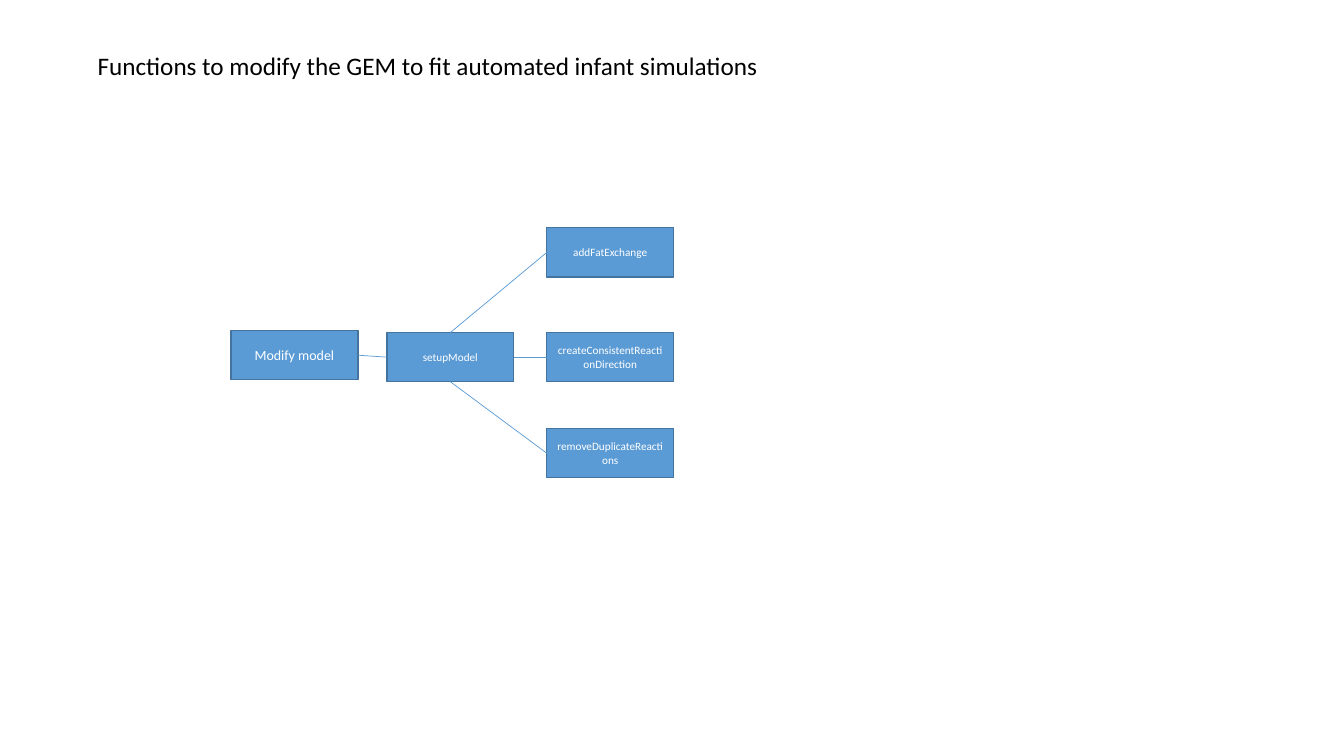
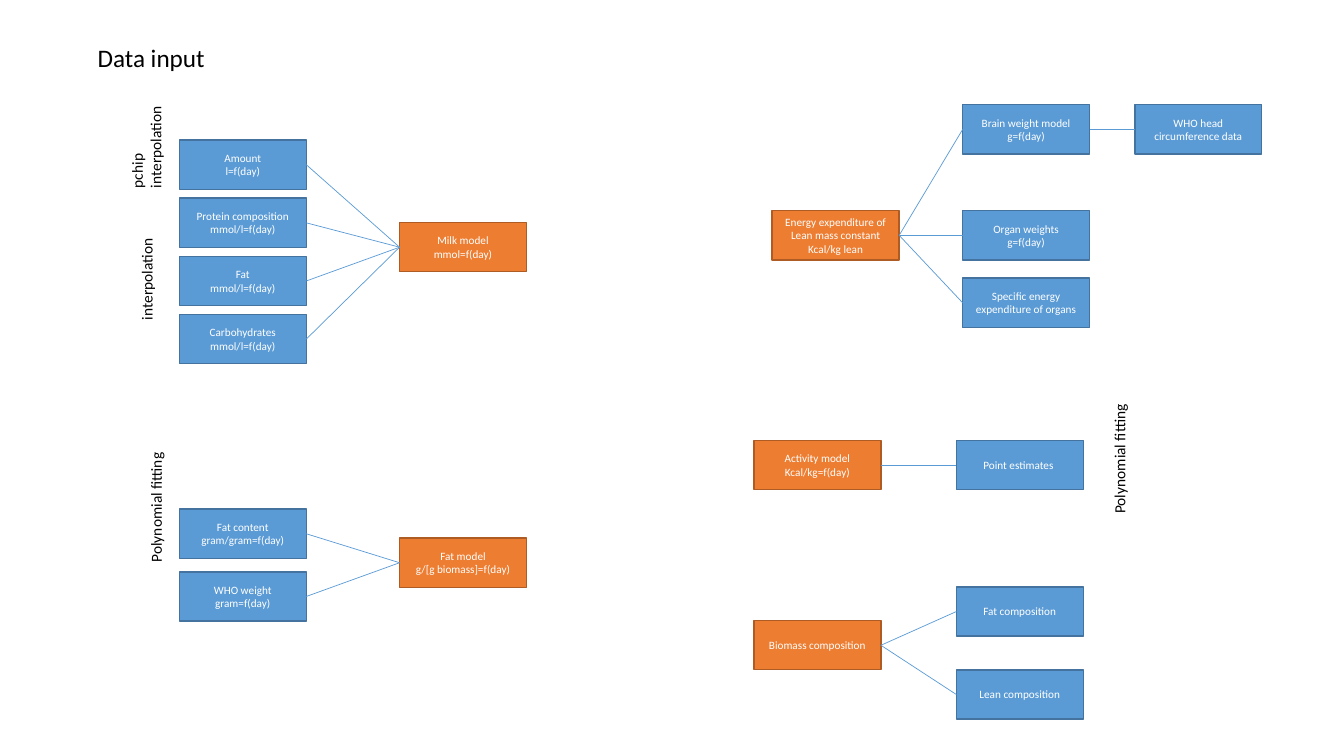
from pptx import Presentation
from pptx.dml.color import RGBColor
from pptx.enum.shapes import MSO_CONNECTOR as Link, MSO_SHAPE as Preset
from pptx.enum.text import MSO_ANCHOR as Anchor, MSO_AUTO_SIZE as Fit, PP_ALIGN as Align
from pptx.oxml.ns import qn
from pptx.util import Cm, Pt
from lxml import etree

# Shared look
COLORS = {
    "blue": "5B9BD5", "blue_edge": "43739E",
    "orange": "ED7D31", "orange_edge": "AF5C24",
    "white": "FFFFFF", "black": "000000",
}
FONT = "Calibri"
BOX_WIDTH, BOX_HEIGHT = 3.2, 1.24
TOP, LEFT, BOTTOM, RIGHT = range(4)  # connection sites of a rectangle
BOX_FRAME = {"word_wrap": True, "vertical_anchor": Anchor.MIDDLE}
LABEL_FRAME = {"word_wrap": False, "auto_size": Fit.SHAPE_TO_FIT_TEXT}


def color(name):
    return RGBColor.from_string(COLORS[name])


def write(frame, text, size, ink, align, frame_format):
    """Fill a text frame: a newline starts a paragraph, \\v breaks a line."""
    for name, value in frame_format.items():
        setattr(frame, name, value)
    frame.text = text
    font_format = {"name": FONT, "size": Pt(size)}
    for para in frame.paragraphs:
        para.alignment = align
        for span in para.runs:
            for name, value in font_format.items():
                setattr(span.font, name, value)
            span.font.color.rgb = color(ink)


def add_box(page, left, top, text, tone="blue", size=8):
    box = page.shapes.add_shape(Preset.RECTANGLE, Cm(left), Cm(top),
                                Cm(BOX_WIDTH), Cm(BOX_HEIGHT))
    box.shadow.inherit = False
    box.fill.solid()
    box.fill.fore_color.rgb = color(tone)
    box.line.color.rgb = color(tone + "_edge")
    box.line.width = Pt(1)
    write(box.text_frame, text, size, "white", Align.CENTER, BOX_FRAME)
    return box


def add_link(page, start, start_site, end, end_site):
    link = page.shapes.add_connector(Link.STRAIGHT, 0, 0, 0, 0)
    link.begin_connect(start, start_site)
    link.end_connect(end, end_site)
    link.line.color.rgb = color("blue")
    link.line.width = Pt(0.5)
    etree.SubElement(link._element.spPr, qn("a:effectLst"))


def add_label(page, left, top, width, height, text, size=11, rotation=270):
    label = page.shapes.add_textbox(Cm(left), Cm(top), Cm(width), Cm(height))
    label.rotation = rotation
    write(label.text_frame, text, size, "black", Align.LEFT, LABEL_FRAME)


def add_page(deck, title, top, width):
    page = deck.slides.add_slide(deck.slide_layouts[6])
    add_label(page, 2.21, top, width, 1.02, title, size=18, rotation=0)
    return page


def draw_call_tree(page, left, top):
    """Entry box, its setup function and the three functions called."""
    entry = add_box(page, left, top + 2.59, "Modify model", size=10)
    setup = add_box(page, left + 3.93, top + 2.64, "setupModel")
    add_link(page, entry, RIGHT, setup, LEFT)
    calls = [
        (0, "addFatExchange", TOP),
        (2.64, "createConsistentReactionDirection", RIGHT),
        (5.06, "removeDuplicateReactions", BOTTOM),
    ]
    for offset, text, site in calls:
        call = add_box(page, left + 7.96, top + offset, text)
        add_link(page, setup, site, call, LEFT)


def draw_cluster(page, left, top, hub, leaves, gap, leaves_first=False, labels=()):
    """Orange hub linked to a column of blue leaves; offsets run from left, top."""
    far = left + BOX_WIDTH + gap
    hub_left, leaf_left = (far, left) if leaves_first else (left, far)
    hub_site, leaf_site = (LEFT, RIGHT) if leaves_first else (RIGHT, LEFT)
    hub_offset, hub_text = hub
    center = add_box(page, hub_left, top + hub_offset, hub_text, "orange")
    boxes = []
    for offset, text in leaves:
        leaf = add_box(page, leaf_left, top + offset, text)
        add_link(page, leaf, leaf_site, center, hub_site)
        boxes.append(leaf)
    for across, down, width, height, text in labels:
        add_label(page, left + across, top + down, width, height, text)
    return boxes


def draw_energy(page, left, top):
    """Energy cluster, with the data source behind the brain model."""
    brain = draw_cluster(
        page, left, top,
        (2.67, "Energy expenditure of\nLean mass constant\nKcal/kg lean"),
        [(0, "Brain weight model\ng=f(day)"),
         (2.67, "Organ weights\ng=f(day)"),
         (4.37, "Specific energy expenditure of organs")],
        gap=1.6)[0]
    source = add_box(page, left + 9.14, top, "WHO head circumference data")
    add_link(page, source, LEFT, brain, RIGHT)


deck = Presentation()
deck.slide_width, deck.slide_height = Cm(33.87), Cm(19.05)

# Slide 1: model functions
functions_page = add_page(
    deck, "Functions to modify the GEM to fit automated infant simulations", 1.14, 17.25)
draw_call_tree(functions_page, 5.82, 5.74)

# Slide 2: data input
input_page = add_page(deck, "Data input", 0.94, 3.25)
milk_inputs = [
    "Amount\vl=f(day)",
    "Protein composition mmol/l=f(day)",
    "Fat\vmmol/l=f(day)",
    "Carbohydrates\vmmol/l=f(day)",
]
draw_cluster(
    input_page, 4.52, 3.53, (2.08, "Milk model\vmmol=f(day)"),
    [(row * 1.465, text) for row, text in enumerate(milk_inputs)],
    gap=2.35, leaves_first=True,
    labels=[(-2.11, 3.12, 2.59, 0.74, "interpolation"),
            (-2.13, -0.43, 2.59, 1.19, "pchip\ninterpolation")])
draw_cluster(
    input_page, 4.52, 12.83, (0.73, "Fat model\ng/[g biomass]=f(day)"),
    [(0, "Fat content\ngram/gram=f(day)"), (1.58, "WHO weight\vgram=f(day)")],
    gap=2.35, leaves_first=True,
    labels=[(-2.23, -0.43, 3.3, 0.74, "Polynomial fitting")])
draw_energy(input_page, 19.46, 2.64)
draw_cluster(
    input_page, 19, 11.1, (0, "Activity model\nKcal/kg=f(day)"),
    [(0, "Point estimates ")], gap=1.9,
    labels=[(7.57, 0.08, 3.3, 0.74, "Polynomial fitting")])
draw_cluster(
    input_page, 19, 14.79, (0.85, "Biomass composition"),
    [(0, "Fat composition"), (2.09, "Lean composition")], gap=1.9)

deck.save("out.pptx")
